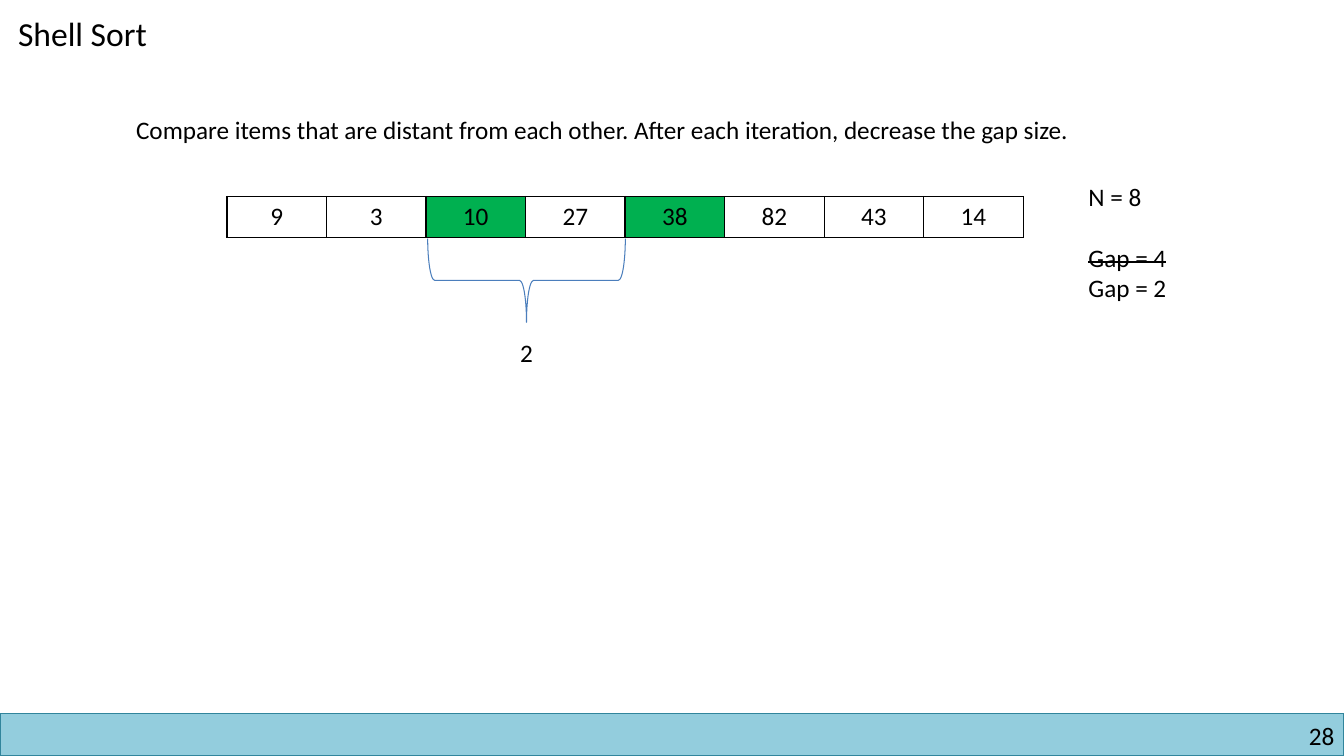
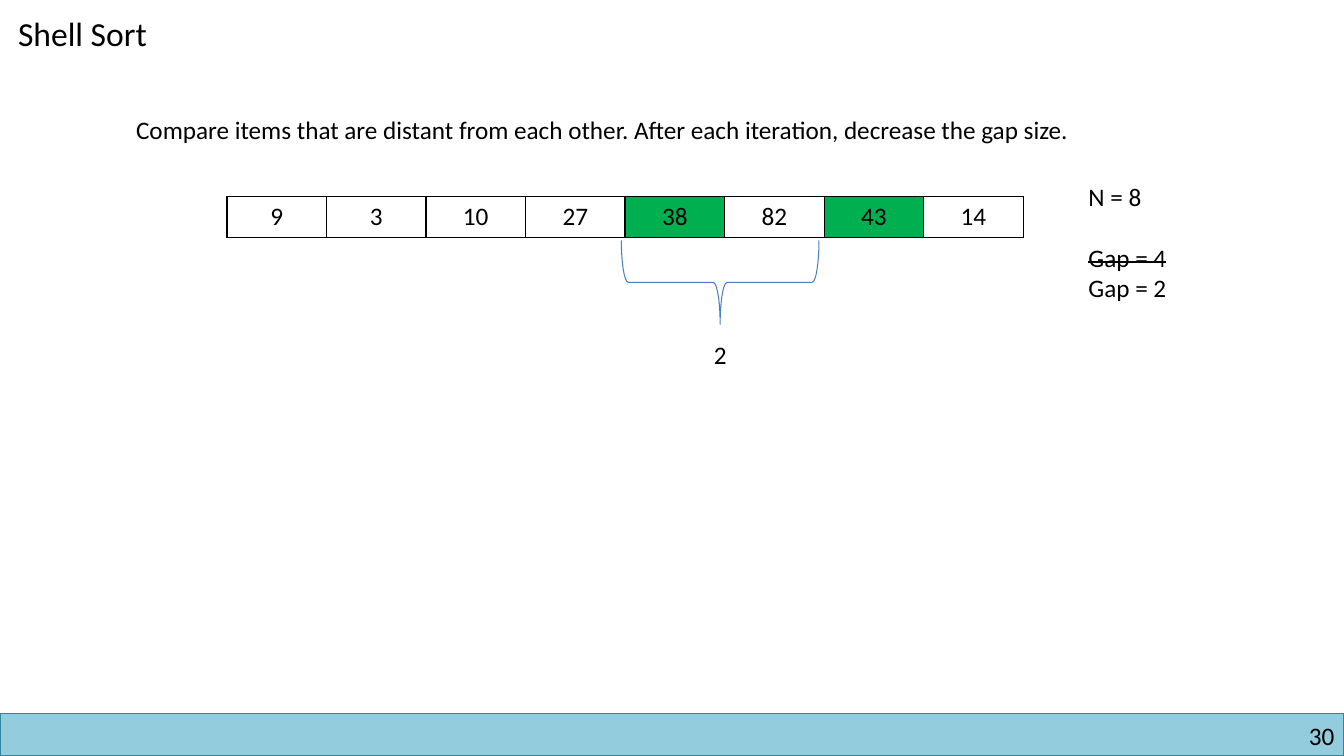
from dataclasses import dataclass

from lxml import etree
from pptx import Presentation
from pptx.dml.color import RGBColor as RGB
from pptx.enum.shapes import MSO_SHAPE as Shape
from pptx.enum.text import MSO_ANCHOR as Anchor, MSO_AUTO_SIZE as AutoSize, PP_ALIGN as Align
from pptx.oxml.ns import qn
from pptx.util import Cm, Pt


@dataclass(frozen=True)
class Theme:
    font: str = "Calibri"
    title_size: Pt = Pt(24)
    body_size: Pt = Pt(18)
    blank_line: Pt = Pt(22)
    text: RGB = RGB(0x00, 0x00, 0x00)
    cell: RGB = RGB(0xFF, 0xFF, 0xFF)
    compared: RGB = RGB(0x00, 0xB0, 0x50)
    band: RGB = RGB(0x93, 0xCD, 0xDD)
    band_edge: RGB = RGB(0x31, 0x85, 0x9C)
    brace: RGB = RGB(0x4B, 0x7E, 0xBC)


THEME = Theme()
SLIDE_WIDTH, SLIDE_HEIGHT = Cm(33.87), Cm(19.05)
TITLE_ONLY = 5
ITEMS = (9, 3, 10, 27, 38, 82, 43, 14)
GAP = 2
# Slide number, index of the first compared item, left and top of the brace
STEPS = (
    (28, 2, Cm(10.78), Cm(6.01)),
    (30, 4, Cm(15.66), Cm(6.06)),
)


def style(paragraph, align=Align.LEFT, size=THEME.body_size):
    paragraph.alignment = align
    paragraph.font.name = THEME.font
    paragraph.font.size = size
    paragraph.font.color.rgb = THEME.text


def add_text(slide, box, text, align=Align.LEFT):
    """Add a text box with one paragraph per line of text; return its frame."""
    frame = slide.shapes.add_textbox(*box).text_frame
    frame.word_wrap = True
    frame.text = text
    for paragraph in frame.paragraphs:
        style(paragraph, align)
    return frame


def add_title(slide, box, text):
    title = slide.shapes.title
    title.left, title.top, title.width, title.height = box
    frame = title.text_frame
    frame.text = text
    frame.word_wrap = True
    frame.auto_size = AutoSize.NONE
    frame.vertical_anchor = Anchor.TOP
    style(frame.paragraphs[0], size=THEME.title_size)


def add_footer(slide, box, number):
    left, top, width, height = box
    band = slide.shapes.add_shape(Shape.RECTANGLE, *box)
    band.shadow.inherit = False
    band.fill.solid()
    band.fill.fore_color.rgb = THEME.band
    band.line.color.rgb = THEME.band_edge
    band.line.width = Pt(1)
    number_width = Cm(7.8)
    number_box = (left + width - number_width - Cm(0.24), top + Cm(0.18), number_width, Cm(0.77))
    frame = add_text(slide, number_box, str(number), Align.RIGHT)
    frame.margin_left = frame.margin_right = frame.margin_top = frame.margin_bottom = 0


def add_borders(cell):
    properties = cell._tc.get_or_add_tcPr()
    for side in ("a:lnL", "a:lnR", "a:lnT", "a:lnB"):
        line = etree.SubElement(properties, qn(side), w=str(Pt(1)))
        fill = etree.SubElement(line, qn("a:solidFill"))
        etree.SubElement(fill, qn("a:srgbClr"), val=str(THEME.text))


def add_array(slide, box, compared):
    """Draw the items as one row, with the compared positions highlighted."""
    table = slide.shapes.add_table(1, len(ITEMS), *box).table
    table.first_row = table.horz_banding = False
    for index, item in enumerate(ITEMS):
        cell = table.cell(0, index)
        add_borders(cell)
        cell.fill.solid()
        cell.fill.fore_color.rgb = THEME.compared if index in compared else THEME.cell
        cell.text = str(item)
        style(cell.text_frame.paragraphs[0], Align.CENTER)


def add_gap_brace(slide, box):
    """Draw a brace that opens upwards and fills the box, with the gap below it."""
    left, top, width, height = box
    turn = (width - height) // 2
    brace = slide.shapes.add_shape(Shape.LEFT_BRACE, left + turn, top - turn, height, width)
    brace.rotation = 270
    brace.shadow.inherit = False
    brace.fill.background()
    brace.line.color.rgb = THEME.brace
    brace.line.width = Pt(0.75)
    label_width = Cm(1.2)
    label_left = left + (width - label_width) // 2
    add_text(slide, (label_left, top + height + Cm(0.26), label_width, Cm(1.02)), str(GAP), Align.CENTER)


def add_gap_history(slide, box):
    frame = add_text(slide, box, f"N = {len(ITEMS)}\nGap = 4\nGap = {GAP}")
    used_gap = frame.paragraphs[1]
    used_gap.space_before = THEME.blank_line
    used_gap.runs[0]._r.get_or_add_rPr().set("strike", "sngStrike")


def add_step(deck, number, first, brace_left, brace_top):
    slide = deck.slides.add_slide(deck.slide_layouts[TITLE_ONLY])
    band_height = Cm(1.07)
    add_footer(slide, (0, SLIDE_HEIGHT - band_height, SLIDE_WIDTH, band_height), number)
    add_title(slide, (Cm(0.2), Cm(0.2), Cm(4.22), Cm(1.27)), "Shell Sort")
    add_text(slide, (Cm(3.18), Cm(2.75), Cm(26.3), Cm(1.02)),
             "Compare items that are distant from each other. After each iteration, decrease the gap size.")
    add_array(slide, (Cm(5.72), Cm(4.95), Cm(20.07), Cm(1.04)), (first, first + GAP))
    add_gap_history(slide, (Cm(27.18), Cm(4.45), Cm(2.82), Cm(3.33)))
    add_gap_brace(slide, (brace_left, brace_top, Cm(4.98), Cm(2.11)))


def main():
    deck = Presentation()
    deck.slide_width, deck.slide_height = SLIDE_WIDTH, SLIDE_HEIGHT
    for step in STEPS:
        add_step(deck, *step)
    deck.save("out.pptx")


if __name__ == "__main__":
    main()
